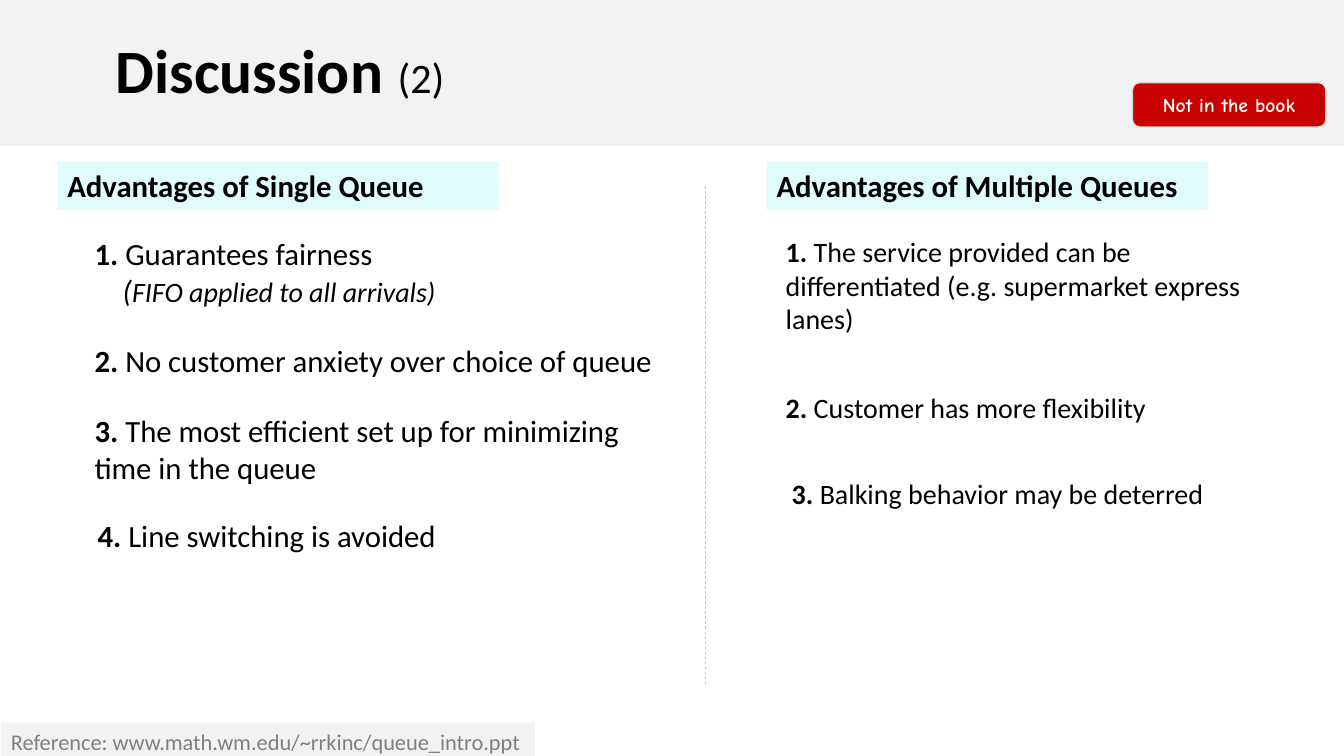
import pptx
import pptx.util
import pptx.dml.color
import pptx.enum.dml
import pptx.enum.shapes
import pptx.enum.text
import pptx.oxml

Inches = pptx.util.Inches
Pt = pptx.util.Pt
SHAPE = pptx.enum.shapes.MSO_SHAPE
ALIGN = pptx.enum.text.PP_ALIGN
ANCHOR = pptx.enum.text.MSO_ANCHOR


def colour(value):
    return pptx.dml.color.RGBColor.from_string(value)


def add_run(paragraph, text, size, bold=False, italic=False, ink="000000", face="Calibri"):
    run = paragraph.add_run()
    run.text = text
    run.font.name = face
    run.font.size = Pt(size)
    run.font.bold = bold
    run.font.italic = italic
    run.font.color.rgb = colour(ink)


def set_frame(shape, anchor=ANCHOR.TOP):
    frame = shape.text_frame
    frame.word_wrap = True
    frame.vertical_anchor = anchor
    frame.paragraphs[0].alignment = ALIGN.LEFT
    return frame


def add_panel(slide, left, top, width, height, fill, kind=SHAPE.RECTANGLE, anchor=ANCHOR.TOP):
    panel = slide.shapes.add_shape(kind, Inches(left), Inches(top), Inches(width), Inches(height))
    panel.shadow.inherit = False
    panel.fill.solid()
    panel.fill.fore_color.rgb = colour(fill)
    panel.line.fill.background()
    set_frame(panel, anchor)
    return panel


def add_title(slide):
    band = add_panel(slide, 0, 0, 13.34, 1.45, "F2F2F2", anchor=ANCHOR.MIDDLE)
    band.text_frame.margin_left = Inches(1.15)
    title = band.text_frame.paragraphs[0]
    title.line_spacing = 0.9
    add_run(title, "Discussion ", 44, bold=True)
    add_run(title, "(2)", 30)


def add_badge(slide):
    badge = add_panel(slide, 11.24, 0.82, 1.92, 0.44, "C80000",
                      SHAPE.ROUNDED_RECTANGLE, ANCHOR.MIDDLE)
    badge.line.color.rgb = colour("D9D9D9")
    badge.line.width = Pt(1)
    label = badge.text_frame.paragraphs[0]
    label.alignment = ALIGN.CENTER
    add_run(label, "Not in the book", 14, bold=True, ink="FFFFFF", face="Comic Neue")


def add_heading(slide, left, text):
    heading = add_panel(slide, left, 1.61, 4.38, 0.47, "E0FBFC")
    add_run(heading.text_frame.paragraphs[0], text, 22, bold=True)


def add_point(slide, left, top, width, height, number, text, size):
    point = slide.shapes.add_textbox(Inches(left), Inches(top), Inches(width), Inches(height))
    frame = set_frame(point)
    add_run(frame.paragraphs[0], f"{number}. ", size, bold=True)
    add_run(frame.paragraphs[0], text, size)
    return frame


def add_fifo_remark(frame):
    remark = frame.add_paragraph()
    properties = remark._p.get_or_add_pPr()
    properties.set("marL", str(Inches(0.28)))
    add_run(remark, "(", 22, italic=True)
    add_run(remark, "FIFO applied to all arrivals)", 20, italic=True)


def add_divider(slide):
    divider = slide.shapes.add_connector(pptx.enum.shapes.MSO_CONNECTOR.STRAIGHT,
                                         Inches(7), Inches(1.85), Inches(7), Inches(6.8))
    divider.line.color.rgb = colour("BFBFBF")
    divider.line.width = Pt(0.5)
    divider.line.dash_style = pptx.enum.dml.MSO_LINE.DASH
    divider._element.spPr.append(pptx.oxml.parse_xml(
        '<a:effectLst xmlns:a="http://schemas.openxmlformats.org/drawingml/2006/main"/>'))


def main():
    deck = pptx.Presentation()
    deck.slide_width = Inches(13.34)
    deck.slide_height = Inches(7.5)
    slide = deck.slides.add_slide(deck.slide_layouts[6])

    # Title band and badge
    add_title(slide)
    add_badge(slide)

    # Reference
    reference = add_panel(slide, 0.01, 7.17, 5.3, 0.37, "F2F2F2")
    add_run(reference.text_frame.paragraphs[0],
            "Reference: www.math.wm.edu/~rrkinc/queue_intro.ppt", 16, ink="7F7F7F")

    # Single queue
    add_heading(slide, 0.57, "Advantages of Single Queue")
    fairness = add_point(slide, 0.84, 2.28, 3.63, 0.84, 1, "Guarantees fairness", 22)
    add_fifo_remark(fairness)
    single_queue = [
        (0.84, 3.34, 0.47, "No customer anxiety over choice of queue"),
        (0.84, 4.04, 0.84, "The most efficient set up for minimizing time in the queue"),
        (0.87, 5.08, 0.47, "Line switching is avoided"),
    ]
    for number, (left, top, height, text) in enumerate(single_queue, 2):
        add_point(slide, left, top, 5.89, height, number, text, 22)

    add_divider(slide)

    # Multiple queues
    add_heading(slide, 7.61, "Advantages of Multiple Queues")
    multiple_queues = [
        (7.7, 2.28, 1.1, "The service provided can be differentiated "
                         "(e.g. supermarket express lanes)"),
        (7.7, 3.82, 0.44, "Customer has more flexibility"),
        (7.76, 4.68, 0.44, "Balking behavior may be deterred"),
    ]
    for number, (left, top, height, text) in enumerate(multiple_queues, 1):
        add_point(slide, left, top, 4.79, height, number, text, 20)

    deck.save("out.pptx")


if __name__ == "__main__":
    main()
